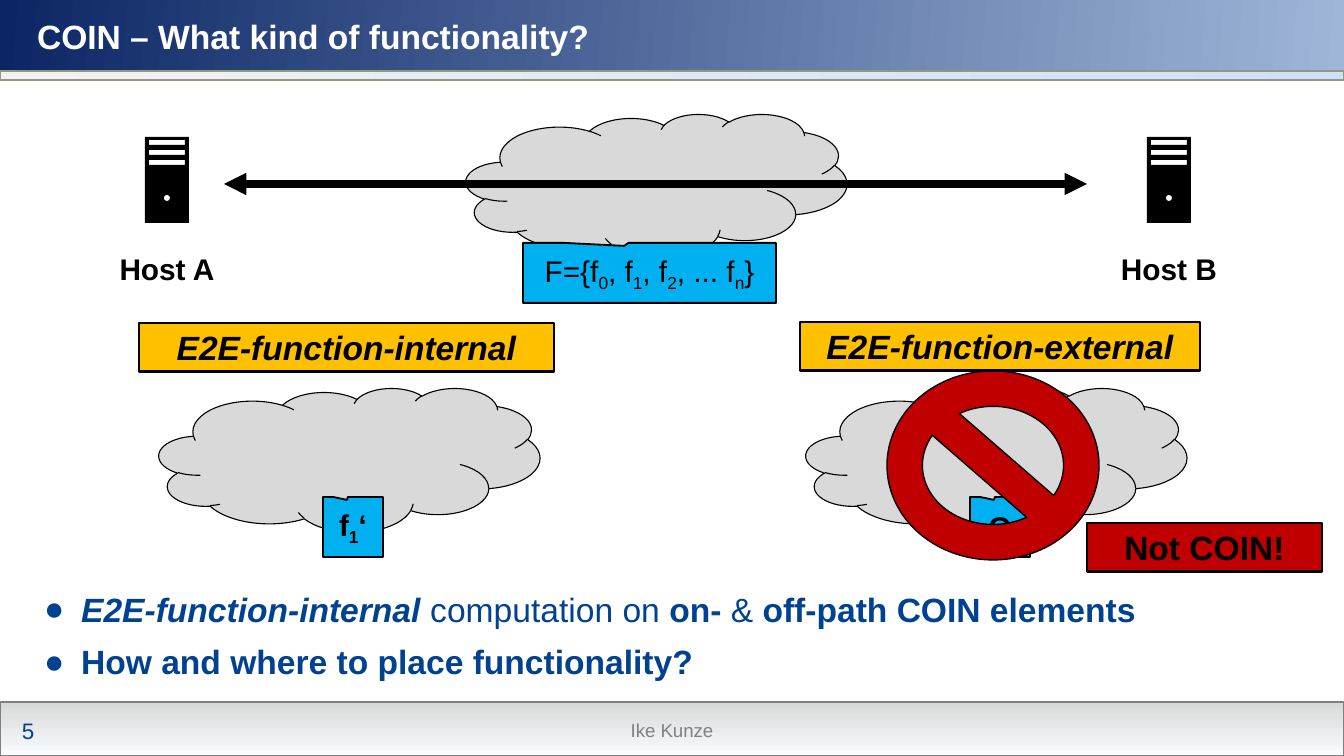
from math import cos, pi, sin

from lxml.etree import SubElement
from pptx import Presentation
from pptx.dml.color import RGBColor
from pptx.enum.shapes import MSO_CONNECTOR as Link, MSO_SHAPE as Kind
from pptx.enum.text import MSO_ANCHOR as Anchor, MSO_AUTO_SIZE as Auto, PP_ALIGN as Align
from pptx.oxml.ns import qn
from pptx.util import Pt

WIDE, HIGH = 1344, 756
SCALE = 9144000 / WIDE

BLACK = RGBColor(0, 0, 0)
WHITE = RGBColor(255, 255, 255)
GRAY = RGBColor(0x80, 0x80, 0x80)
CLOUD = RGBColor(0xD9, 0xD9, 0xD9)
NAVY = RGBColor(0x0C, 0x26, 0x65)
SKY = RGBColor(0x9F, 0xB6, 0xD9)
MIST = RGBColor(0xF2, 0xF2, 0xF2)
PALE = RGBColor(0xCE, 0xDF, 0xFF)
ICE = RGBColor(0xF8, 0xFB, 0xFF)
OLIVE = RGBColor(0x91, 0x99, 0x78)
BLUE = RGBColor(0, 0x42, 0x90)
CYAN = RGBColor(0, 0xB0, 0xF0)
GOLD = RGBColor(0xFF, 0xC0, 0)
RED = RGBColor(0xC0, 0, 0)

# Runs are (text, marks): b bold, i italic, _ subscript
TITLE = [("COIN – What kind of functionality?", "b")]
BULLETS = [
    [("E2E-function-internal ", "bi"), ("computation on ", ""), ("on-", "b"),
     (" & ", ""), ("off-path COIN elements", "b")],
    [("How and where to place functionality?", "b")],
]
# Box, fill (one colour, or two colours and an angle), line colour
BANDS = [
    ((0, 0, WIDE, 93), (NAVY, SKY, 5), None),
    ((0, 74, WIDE, 629), WHITE, None),
    ((0, 71, WIDE, 9), (MIST, PALE, 0), OLIVE),
    ((0, 702, WIDE, 54), (CLOUD, ICE, 90), GRAY),
]
HOSTS = [("Host A", 145), ("Host B", 1147)]
SET = [("F={f", ""), ("0", "_"), (", f", ""), ("1", "_"), (", f", ""),
       ("2", "_"), (", ... f", ""), ("n", "_"), ("}", "")]
# Cloud left and top, callout box, callout runs
CLOUDS = [
    ((466, 114), (523, 243, 253, 60), SET),
    ((159, 388), (323, 497, 60, 60), [("f", "b"), ("1", "b_"), ("‘", "b")]),
    ((806, 388), (970, 497, 60, 60), [("G", "b")]),
]
TAGS = [
    ("E2E-function-internal", "bi", (139, 323, 415, 49), GOLD),
    ("E2E-function-external", "bi", (800, 322, 400, 49), GOLD),
    ("Not COIN!", "b", (1087, 523, 235, 49), RED),
]


def px(*vals):
    return [round(v * SCALE) for v in vals]


def paint(item, fill, line=None, width=0.75):
    item.shadow.inherit = False
    if isinstance(fill, RGBColor):
        item.fill.solid()
        item.fill.fore_color.rgb = fill
    else:
        first, last, angle = fill
        item.fill.gradient()
        item.fill.gradient_angle = (360 - angle) % 360
        for stop, color in zip(item.fill.gradient_stops, (first, last)):
            stop.color.rgb = color
    if line is None:
        item.line.fill.background()
    else:
        item.line.color.rgb = line
        item.line.width = Pt(width)


def shape(kind, box, *look):
    item = slide.shapes.add_shape(kind, *px(*box))
    paint(item, *look)
    return item


def put(para, runs, size, color):
    for text, marks in runs:
        run = para.add_run()
        run.text = text
        style = {"name": "Arial", "size": Pt(size),
                 "bold": "b" in marks, "italic": "i" in marks}
        for key, val in style.items():
            setattr(run.font, key, val)
        run.font.color.rgb = color
        if "_" in marks:
            run.font._element.set("baseline", "-25000")


def write(item, runs, size, color=BLACK, align=Align.CENTER, pad=(0, 0), wrap=True):
    """Fill a shape with one paragraph; pad is the side and top inset."""
    frame = item.text_frame
    side, top = px(*pad)
    style = {"word_wrap": wrap, "auto_size": Auto.NONE, "vertical_anchor": Anchor.MIDDLE,
             "margin_left": side, "margin_right": side,
             "margin_top": top, "margin_bottom": top}
    for key, val in style.items():
        setattr(frame, key, val)
    para = frame.paragraphs[0]
    para.alignment = align
    put(para, runs, size, color)


def host(name, left):
    """Draw a tower with three slots and a round button cut out, and its label."""
    top = 137
    cuts = [[(4, y), (40, y), (40, y + 5), (4, y + 5)] for y in (3, 13, 23)]
    cuts.append([(22 + 3 * cos(k * pi / 12), 61 + 3 * sin(k * pi / 12)) for k in range(24)])
    edge = [(0, 0), (0, 86), (44, 86), (44, 0)]
    pen = slide.shapes.build_freeform(*px(left, top))
    for n, path in enumerate([edge] + cuts):
        spots = [px(left + x, top + y) for x, y in path]
        if n:
            pen.move_to(*spots[0])
        pen.add_line_segments(spots[1:], close=True)
    paint(pen.convert_to_shape(), BLACK)
    label = shape(Kind.RECTANGLE, (left - 35, 246, 114, 45), WHITE)
    write(label, [(name, "b")], 16, pad=(8, 4))


def cloud(spot, box, runs):
    shape(Kind.CLOUD, (*spot, 381, 144), CLOUD, BLACK, 0.6)
    call = shape(Kind.RECTANGULAR_CALLOUT, box, CYAN, BLACK, 1)
    call.adjustments[0], call.adjustments[1] = -0.1, -0.45
    write(call, runs, 16)


def arrow(start, end):
    line = slide.shapes.add_connector(Link.STRAIGHT, *px(*start, *end))
    line.line.color.rgb = BLACK
    line.line.width = Pt(4)
    for tip in ("a:headEnd", "a:tailEnd"):
        SubElement(line.line._get_or_add_ln(), qn(tip), type="triangle")
    SubElement(line._element.spPr, qn("a:effectLst"))


def bullets(box, rows):
    frame = slide.shapes.add_textbox(*px(*box)).text_frame
    frame.word_wrap = True
    for n, runs in enumerate(rows):
        para = frame.add_paragraph() if n else frame.paragraphs[0]
        para.line_spacing = 1.1
        para.space_before = Pt(4.5 if n else 0)
        props = para._p.get_or_add_pPr()
        indent = px(37)[0]
        props.set("marL", str(indent))
        props.set("indent", str(-indent))
        tint = SubElement(props, qn("a:buClr"))
        SubElement(tint, qn("a:srgbClr"), val=str(BLUE))
        SubElement(props, qn("a:buFont"), typeface="Arial")
        SubElement(props, qn("a:buChar"), char="●")
        put(para, runs, 18, BLUE)


deck = Presentation()
deck.slide_width, deck.slide_height = px(WIDE, HIGH)
slide = deck.slides.add_slide(deck.slide_layouts[5])

for box, fill, line in BANDS:
    shape(Kind.RECTANGLE, box, fill, line)

title = slide.shapes.title
title.left, title.top, title.width, title.height = px(24, 11, 1288, 51)
write(title, TITLE, 18, WHITE, Align.LEFT, (13, 7))
title._element.getparent().append(title._element)  # in front of the bands

page = slide.shapes.add_textbox(*px(9, 711, 42, 40))
write(page, [("5", "")], 12, BLUE, Align.LEFT, (13, 7), False)
foot = slide.shapes.add_textbox(*px(304, 703, 736, 54))
write(foot, [("Ike Kunze", "")], 10, GRAY, pad=(9, 5))

cloud(*CLOUDS[0])
for name, left in HOSTS:
    host(name, left)
arrow((224, 184), (1087, 184))
for item in CLOUDS[1:]:
    cloud(*item)
shape(Kind.NO_SYMBOL, (887, 371, 212, 189), RED, BLACK)
for text, marks, box, fill in TAGS:
    write(shape(Kind.RECTANGLE, box, fill, BLACK, 1.5), [(text, marks)], 18, pad=(8, 4))
bullets((31, 578, 1288, 106), BULLETS)

deck.save("out.pptx")
